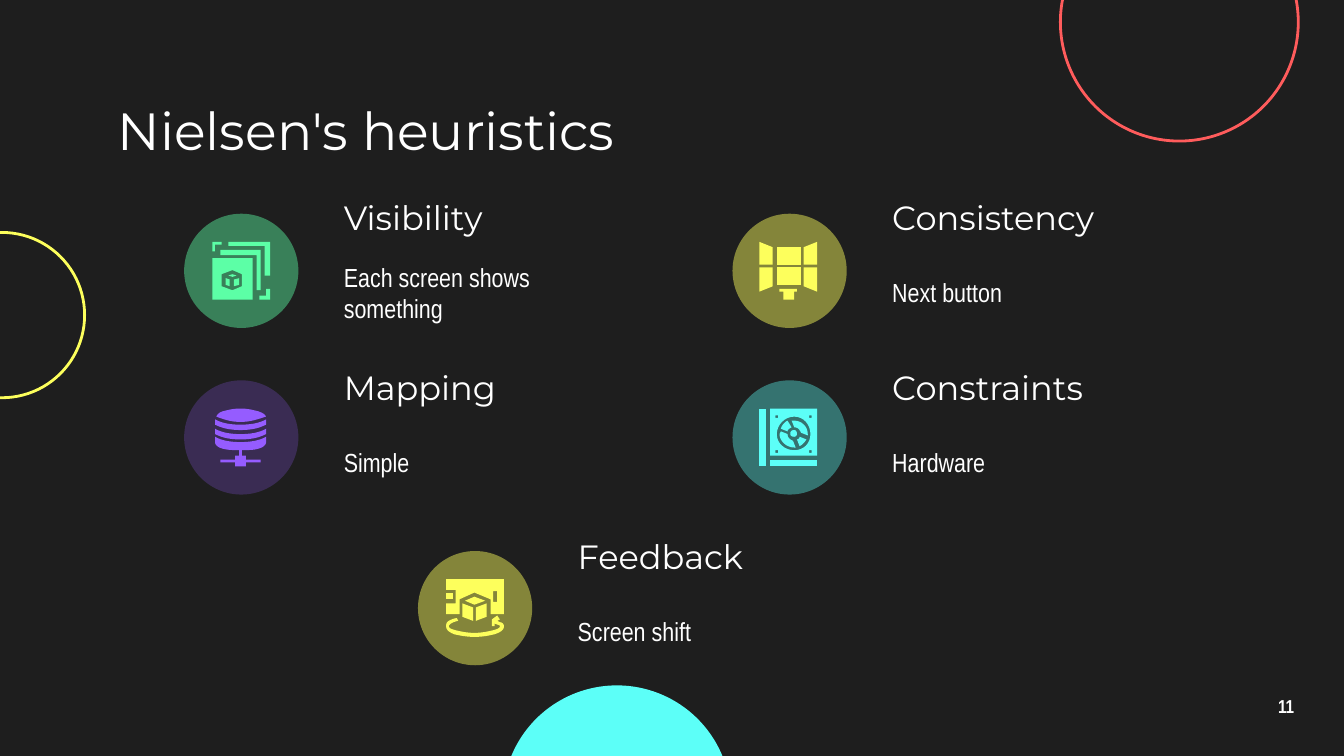
"""Build the slide of Nielsen's heuristics with five icon cards."""
from dataclasses import dataclass

from lxml.etree import SubElement
from pptx import Presentation
from pptx.dml.color import RGBColor
from pptx.enum.shapes import MSO_SHAPE
from pptx.enum.text import MSO_ANCHOR, PP_ALIGN
from pptx.oxml.ns import qn
from pptx.slide import Slide
from pptx.text.text import _Paragraph
from pptx.util import Pt

PX = 9144
SLIDE_WIDTH = 1000 * PX
SLIDE_HEIGHT = SLIDE_WIDTH * 9 // 16
CURVE_STEPS = 8

BACKGROUND = RGBColor(0x1E, 0x1E, 0x1E)
WHITE = RGBColor(0xFF, 0xFF, 0xFF)
YELLOW = RGBColor(0xFD, 0xFF, 0x5C)
CYAN = RGBColor(0x5C, 0xFF, 0xF8)
GREEN = RGBColor(0x5C, 0xFF, 0xA6)
PURPLE = RGBColor(0x95, 0x5C, 0xFF)
RED = RGBColor(0xFF, 0x5C, 0x5C)

HEADING_FONT = "Montserrat"
BODY_FONT = "Arial Narrow"

Point = tuple[float, float]


@dataclass(frozen=True)
class Circle:
    left: int
    top: int
    size: int
    color: RGBColor
    filled: bool = False
    opacity: int = 100


@dataclass(frozen=True)
class Heuristic:
    name: str
    detail: str
    left: int
    top: int
    disc_top: int
    color: RGBColor
    opacity: int
    icon: tuple[str, ...]


def box(left: int, top: int, right: int, bottom: int) -> str:
    return f"M {left} {top} L {left} {bottom} L {right} {bottom} L {right} {top} "


def disk_band(top: int) -> str:
    return (f"M 160 {top} L 160 {top + 4} C 166 {top + 7} 172 {top + 8} 179 {top + 8} "
            f"C 186 {top + 8} 192 {top + 7} 198 {top + 4} L 198 {top} "
            f"C 193 {top + 3} 186 {top + 4} 179 {top + 4} C 172 {top + 4} 165 {top + 3} 160 {top}")


LAYERS_ICON = (
    "M 170 180 L 170 183 L 197 183 L 197 205 L 201 205 L 201 180",
    "M 164 186 L 164 190 L 191 190 L 191 216 L 194 216 L 194 186",
    "M 173 204 L 170 205 L 173 206 L 176 205",
    "M 178 207 L 174 208 L 174 213 L 178 212",
    "M 168 207 L 168 212 L 171 213 L 171 208",
    "M 173 201 L 180 204 L 180 213 L 173 216 L 165 213 L 165 204 " + box(158, 192, 188, 223),
    "M 198 215 L 198 220 L 193 220 L 193 223 L 201 223 L 201 215",
    "M 158 180 L 158 187 L 160 187 L 160 182 L 165 182 L 165 180",
)
SCREENS_ICON = (
    "M 580 215 L 580 217 L 583 217 L 583 223 L 591 223 L 591 217 L 593 217 L 593 215",
    box(578, 199, 596, 212),
    box(578, 184, 596, 197),
    "M 608 180 L 598 184 L 598 197 L 608 197",
    "M 598 199 L 598 213 L 608 217 L 608 199",
    "M 565 199 L 565 217 L 575 213 L 575 199",
    "M 565 180 L 565 197 L 575 197 L 575 184",
)
DATABASE_ICON = (
    "M 178 335 L 178 339 L 175 339 L 175 342 L 164 342 L 164 344 L 175 344 L 175 347 "
    "L 183 347 L 183 344 L 194 344 L 194 342 L 183 342 L 183 339 L 180 339 L 180 335",
    "M 179 304 C 174 304 170 305 166 306 C 163 307 162 308 161 310 C 166 312 172 314 179 314 "
    "C 186 314 192 312 198 310 C 197 308 195 307 192 306 C 188 305 184 304 179 304",
    disk_band(312),
    disk_band(319),
    "M 160 325 L 160 329 C 160 331 162 333 166 334 C 170 335 174 335 179 335 "
    "C 184 335 189 335 192 334 C 196 333 198 331 198 329 L 198 325 "
    "C 193 328 186 329 179 329 C 172 329 165 328 160 325",
)
HARDWARE_ICON = (
    "M 591 320 C 589 320 588 321 588 323 C 588 324 589 325 591 325 "
    "C 592 325 593 324 593 323 C 593 321 592 320 591 320",
    "M 586 313 C 584 314 582 316 581 319 L 586 321 C 586 320 587 319 589 318",
    "M 591 313 L 589 313 L 591 318 C 594 318 595 320 596 322 L 601 324 L 601 323 "
    "C 601 317 596 313 591 313",
    "M 595 325 C 595 326 594 327 593 327 L 595 332 C 597 331 599 329 600 327",
    "M 581 321 L 580 323 C 580 328 585 333 591 333 L 592 333 L 590 328 "
    "C 588 327 586 326 586 323",
    box(565, 304, 570, 347),
    box(573, 342, 608, 347),
    "".join(box(left, top, left + 2, top + 2) for left in (577, 602) for top in (309, 335))
    + "M 591 310 C 598 310 603 316 603 323 C 603 330 598 335 591 335 "
    "C 584 335 578 330 578 323 C 578 316 584 310 591 310 " + box(573, 304, 608, 339),
)
ROTATION_ICON = (
    box(332, 441, 337, 446),
    "M 370 458 L 366 461 L 366 466 L 368 466 L 368 464 C 370 465 372 465 372 466 "
    "C 372 467 371 468 367 469 C 363 470 358 471 353 471 C 348 471 343 470 339 469 "
    "C 335 468 334 467 334 466 C 334 465 336 463 341 462 L 340 460 "
    "C 338 460 336 461 334 462 C 332 463 332 465 332 466 C 332 468 333 470 338 472 "
    "C 342 473 348 474 353 474 C 359 474 364 473 368 472 C 374 470 375 468 375 466 "
    "C 375 464 373 463 372 463 L 370 462 L 372 461",
    "M 353 444 L 346 447 L 353 450 L 361 447",
    "M 344 449 L 344 459 L 352 462 L 352 452",
    "M 362 449 L 354 452 L 354 462 L 362 459",
    box(367, 440, 370, 448)
    + "M 332 431 L 332 439 L 339 439 L 339 449 L 332 449 L 332 457 L 342 457 L 342 446 "
    "L 353 441 L 365 446 L 365 457 L 375 457 L 375 431",
)

HEURISTICS = (
    Heuristic("Visibility", "Each screen shows something", 246, 150, 159, GREEN, 44, LAYERS_ICON),
    Heuristic("Consistency", "Next button", 654, 150, 159, YELLOW, 46, SCREENS_ICON),
    Heuristic("Mapping", "Simple", 246, 276, 283, PURPLE, 24, DATABASE_ICON),
    Heuristic("Constraints", "Hardware", 654, 276, 283, CYAN, 38, HARDWARE_ICON),
    Heuristic("Feedback", "Screen shift", 420, 402, 410, YELLOW, 46, ROTATION_ICON),
)
DECORATIONS = (
    Circle(-60, 173, 123, YELLOW),
    Circle(374, 510, 170, CYAN, filled=True),
    Circle(789, -72, 177, RED),
)


def contours(outline: str) -> list[list[Point]]:
    result: list[list[Point]] = []
    tokens = iter(outline.split())
    for command in tokens:
        count = 6 if command == "C" else 2
        values = [int(next(tokens)) * PX for _ in range(count)]
        points = list(zip(values[::2], values[1::2]))
        if command == "M":
            result.append(points)
        elif command == "L":
            result[-1].extend(points)
        else:
            corners = [result[-1][-1], *points]
            for step in range(1, CURVE_STEPS + 1):
                t = step / CURVE_STEPS
                weights = ((1 - t) ** 3, 3 * t * (1 - t) ** 2, 3 * t * t * (1 - t), t ** 3)
                result[-1].append(tuple(
                    sum(weight * corner[axis] for weight, corner in zip(weights, corners))
                    for axis in (0, 1)))
    return result


def draw_icon(slide: Slide, icon: tuple[str, ...], color: RGBColor) -> None:
    group = slide.shapes.add_group_shape()
    for outline in icon:
        first, *others = contours(outline)
        builder = group.shapes.build_freeform(*first[0], scale=1.0)
        builder.add_line_segments(first[1:], close=True)
        for contour in others:
            builder.move_to(*contour[0])
            builder.add_line_segments(contour[1:], close=True)
        shape = builder.convert_to_shape()
        shape.shadow.inherit = False
        shape.fill.solid()
        shape.fill.fore_color.rgb = color
        shape.line.fill.background()


def draw_circle(slide: Slide, circle: Circle) -> None:
    shape = slide.shapes.add_shape(
        MSO_SHAPE.OVAL, circle.left * PX, circle.top * PX, circle.size * PX, circle.size * PX)
    shape.shadow.inherit = False
    if not circle.filled:
        shape.fill.background()
        shape.line.color.rgb = circle.color
        shape.line.width = Pt(1.5)
        return
    shape.line.fill.background()
    shape.fill.solid()
    shape.fill.fore_color.rgb = circle.color
    if circle.opacity < 100:
        color = shape.fill._xPr.find(f".//{qn('a:srgbClr')}")
        SubElement(color, qn("a:alpha")).set("val", str(circle.opacity * 1000))


def draw_text(slide: Slide, text: str, left: int, top: int, width: int, height: int,
              size: int, font: str) -> _Paragraph:
    shape = slide.shapes.add_textbox(left * PX, top * PX, width * PX, height * PX)
    frame = shape.text_frame
    frame.word_wrap = True
    frame.vertical_anchor = MSO_ANCHOR.MIDDLE
    frame.margin_left = frame.margin_right = frame.margin_top = frame.margin_bottom = 10 * PX
    paragraph = frame.paragraphs[0]
    paragraph.text = text
    paragraph.font.size = Pt(size)
    paragraph.font.name = font
    paragraph.font.color.rgb = WHITE
    return paragraph


def draw_heuristic(slide: Slide, item: Heuristic) -> None:
    heading = draw_text(slide, item.name, item.left, item.top, 209, 42, 18, HEADING_FONT)
    heading.line_spacing = 0.07
    heading.space_before = Pt(12)
    draw_text(slide, item.detail, item.left, item.top + 42, 209, 51, 14, BODY_FONT)
    draw_circle(slide, Circle(item.left - 109, item.disc_top, 85, item.color, True, item.opacity))
    draw_icon(slide, item.icon, item.color)


def main() -> None:
    presentation = Presentation()
    presentation.slide_width, presentation.slide_height = SLIDE_WIDTH, SLIDE_HEIGHT
    slide = presentation.slides.add_slide(presentation.slide_layouts[6])
    slide.background.fill.solid()
    slide.background.fill.fore_color.rgb = BACKGROUND
    for circle in DECORATIONS:
        draw_circle(slide, circle)
    number = draw_text(slide, "11", 927, 510, 60, 34, 10, BODY_FONT)
    number.alignment = PP_ALIGN.CENTER
    number.line_spacing = 0.8
    number.font.bold = True
    draw_text(slide, "Nielsen's heuristics", 78, 71, 844, 51, 28, HEADING_FONT)
    for item in HEURISTICS:
        draw_heuristic(slide, item)
    presentation.save("out.pptx")


if __name__ == "__main__":
    main()
